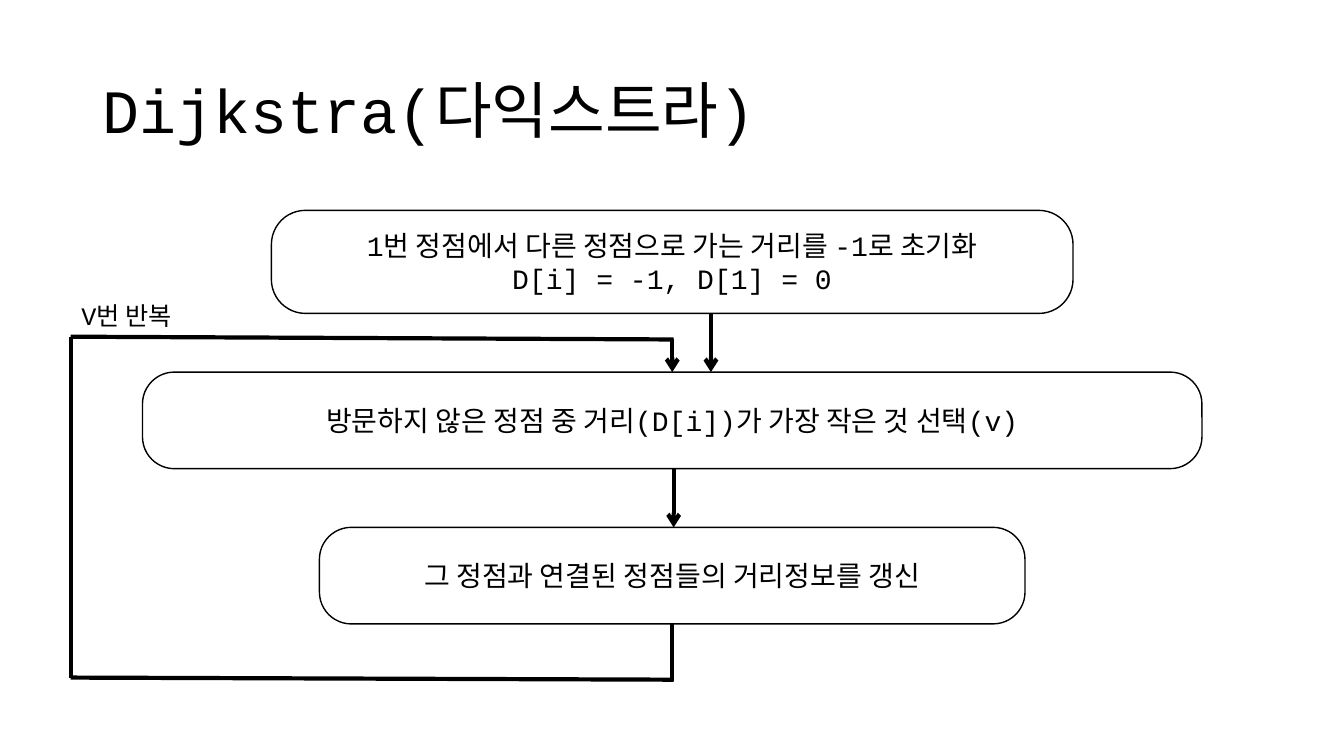
import pptx
import pptx.util
import pptx.dml.color
import pptx.enum.shapes
import pptx.enum.text
import pptx.oxml

Pt = pptx.util.Pt
BLACK = pptx.dml.color.RGBColor(0, 0, 0)
FONT = "Courier New"
ALIGN = pptx.enum.text.PP_ALIGN
MID = pptx.enum.text.MSO_ANCHOR.MIDDLE
NS = 'xmlns:a="http://schemas.openxmlformats.org/drawingml/2006/main"'


class Chart:
    """Draw flow chart parts on one slide in a shared style."""

    def __init__(self, slide):
        self.slide = slide

    def fill(self, frame, lines, size, align):
        frame.text = "\n".join(lines)
        for para in frame.paragraphs:
            para.alignment = align
            para.font.name = FONT
            para.font.size = Pt(size)
            para.font.color.rgb = BLACK

    def text(self, left, top, width, height, words, size, wrap=True):
        area = self.slide.shapes.add_textbox(Pt(left), Pt(top), Pt(width), Pt(height))
        frame = area.text_frame
        frame.word_wrap = wrap
        self.fill(frame, [words], size, ALIGN.LEFT)
        return frame

    def step(self, top, width, height, *lines):
        kind = pptx.enum.shapes.MSO_SHAPE.ROUNDED_RECTANGLE
        left = MIDDLE - width / 2
        box = self.slide.shapes.add_shape(kind, Pt(left), Pt(top), Pt(width), Pt(height))
        box.adjustments[0] = 0.33
        box.shadow.inherit = False
        box.fill.background()
        box.line.color.rgb = BLACK
        box.line.width = Pt(1)
        box.text_frame.word_wrap = True
        box.text_frame.vertical_anchor = MID
        self.fill(box.text_frame, lines, 20, ALIGN.CENTER)

    def line(self, start, end, arrow=False):
        kind = pptx.enum.shapes.MSO_CONNECTOR.STRAIGHT
        link = self.slide.shapes.add_connector(kind, *map(Pt, start + end))
        link.line.color.rgb = BLACK
        link.line.width = Pt(3)
        if arrow:
            tail = pptx.oxml.parse_xml(f'<a:tailEnd {NS} type="arrow"/>')
            link.line._get_or_add_ln().append(tail)
        link._element.spPr.append(pptx.oxml.parse_xml(f"<a:effectLst {NS}/>"))


MIDDLE = 480.2
LEFT = 51
TOP, BASE = 240.5, 484.5
SKEW = 2

deck = pptx.Presentation()
deck.slide_width, deck.slide_height = Pt(960), Pt(540)
chart = Chart(deck.slides.add_slide(deck.slide_layouts[6]))

title = chart.text(66, 28.8, 828, 104.4, "Dijkstra(다익스트라)", 44)
title.vertical_anchor = MID
title.paragraphs[0].line_spacing = 0.9

chart.step(150.3, 572.6, 73.6,
           "1번 정점에서 다른 정점으로 가는 거리를 -1로 초기화", "D[i] = -1, D[1] = 0")
chart.step(265.8, 756.8, 69, "방문하지 않은 정점 중 거리(D[i])가 가장 작은 것 선택(v)")
chart.step(376.7, 504, 69, "그 정점과 연결된 정점들의 거리정보를 갱신")

chart.line((MIDDLE, 445.7), (MIDDLE, BASE + SKEW))
chart.line((MIDDLE + 1, BASE + 1), (LEFT - 0.5, BASE - 0.5))
chart.line((LEFT, TOP), (LEFT, BASE))
chart.line((MIDDLE + 1, TOP + SKEW), (LEFT - 0.5, TOP))
chart.line((MIDDLE, TOP + SKEW), (MIDDLE, 265.8), arrow=True)
chart.line((507.8, 223.9), (507.8, 265.8), arrow=True)
chart.line((481.2, 334.8), (481.2, 376.7), arrow=True)

chart.text(LEFT, 211, 89.3, 29, "V번 반복", 18, wrap=False)

deck.save("out.pptx")
